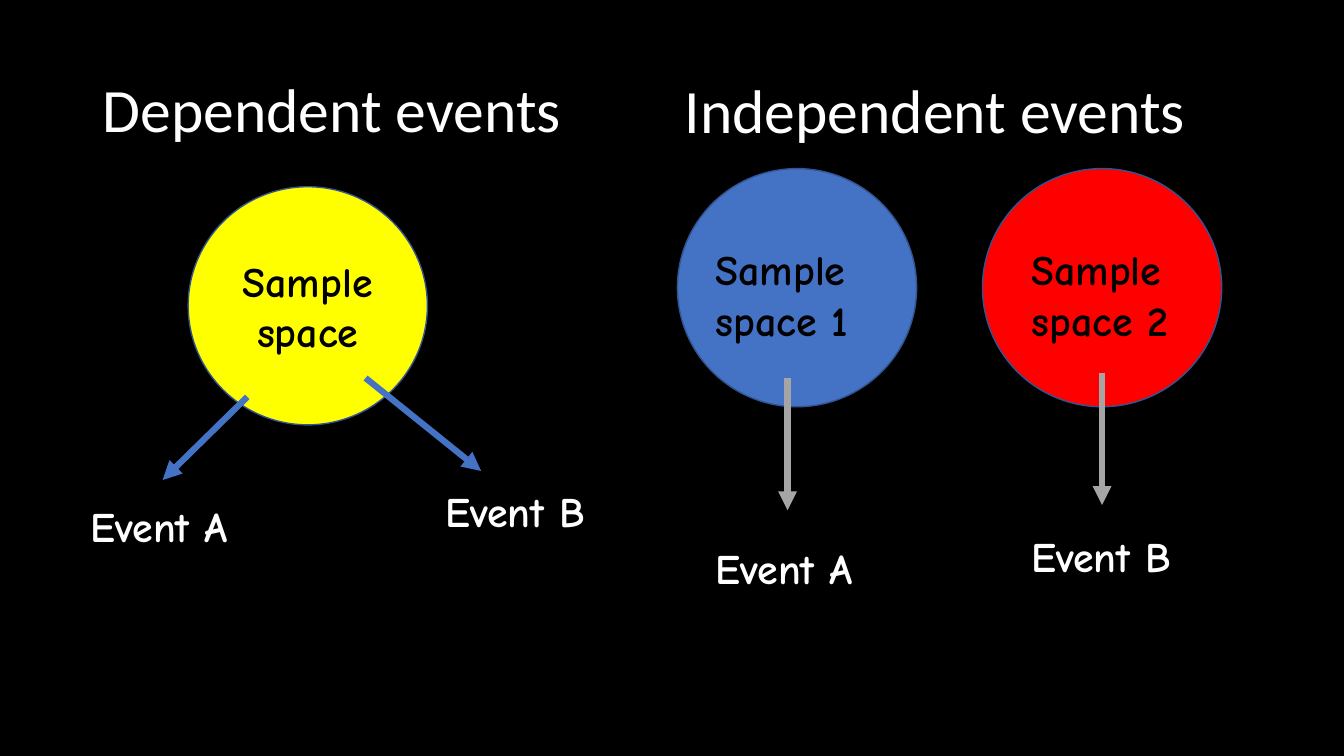
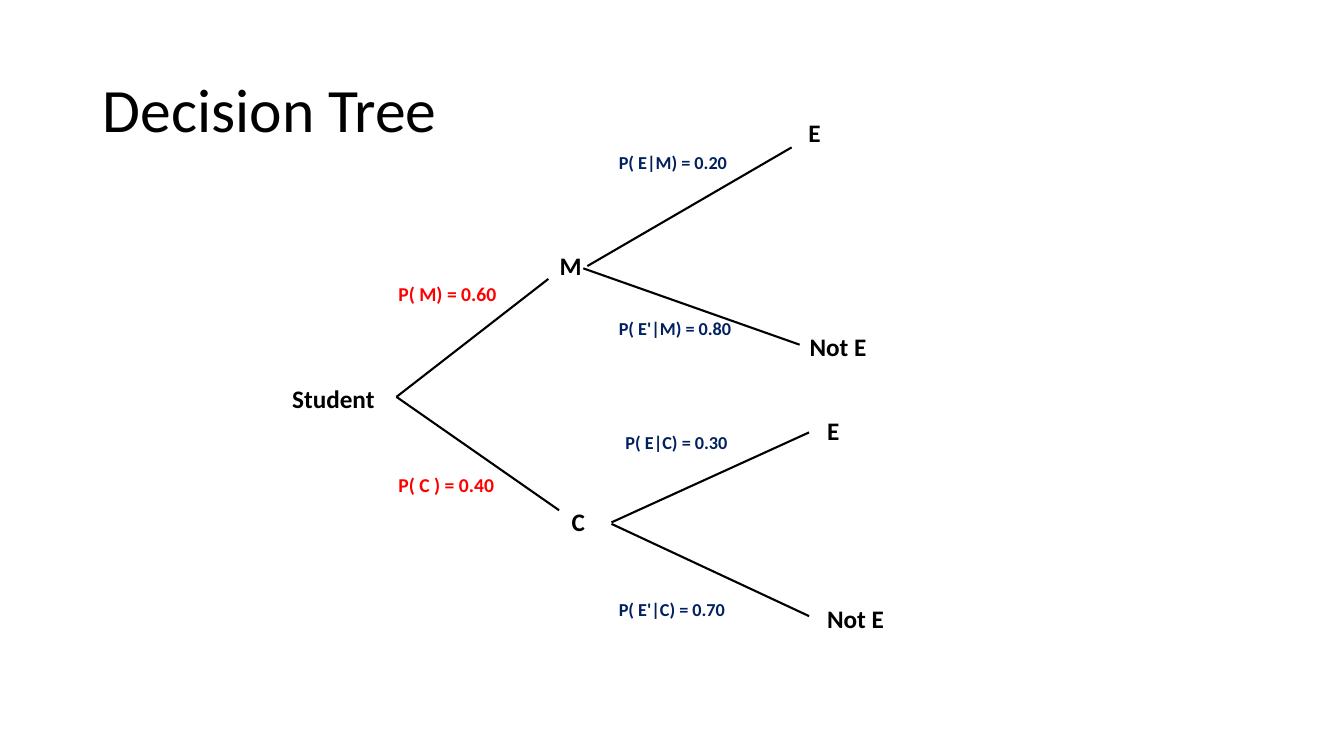
from dataclasses import dataclass
from typing import NamedTuple

from lxml.etree import SubElement
from pptx import Presentation
from pptx.dml.color import RGBColor as Rgb
from pptx.enum.shapes import MSO_CONNECTOR as Link, MSO_SHAPE as Shape
from pptx.enum.text import MSO_ANCHOR as Anchor, MSO_AUTO_SIZE as Fit, PP_ALIGN as Align
from pptx.oxml.ns import qn
from pptx.presentation import Presentation as Deck
from pptx.slide import Slide
from pptx.text.text import TextFrame
from pptx.util import Inches, Pt

WIDE, HIGH = Inches(13.33), Inches(7.5)


class Face(NamedTuple):
    font: str
    size: float
    bold: bool = False


@dataclass(frozen=True)
class Theme:
    black: str = "000000"
    white: str = "FFFFFF"
    red: str = "FF0000"
    blue: str = "4472C4"
    yellow: str = "FFFF00"
    grey: str = "A5A5A5"
    navy: str = "002060"
    rim: str = "325491"
    title: Face = Face("Calibri", 44)
    event: Face = Face("Comic Neue", 30, True)
    node: Face = Face("Calibri", 18, True)
    odds: Face = Face("Calibri", 14, True)
    given: Face = Face("Calibri", 13, True)


THEME = Theme()


class Spot(NamedTuple):
    """A point, in percent of the slide's width and height."""
    x: float
    y: float

    def emu(self) -> tuple[int, int]:
        return round(WIDE * self.x / 100), round(HIGH * self.y / 100)


class Area(NamedTuple):
    """A box, in percent of the slide's width and height."""
    x: float
    y: float
    w: float
    h: float

    def emu(self) -> tuple[int, int, int, int]:
        return Spot(self.x, self.y).emu() + Spot(self.w, self.h).emu()


class Label(NamedTuple):
    text: str
    at: Spot


class Arrow(NamedTuple):
    start: Spot
    end: Spot
    color: str


class Branch(NamedTuple):
    start: Spot
    end: Spot
    node: Label
    odds: Label
    face: Face
    color: str


LEFT_HEAD = Area(6.9, 5.3, 37.7, 19.3)
RIGHT_HEAD = Area(50.2, 5.3, 41.5, 19.3)
FULL_HEAD = Area(6.9, 5.3, 86.3, 19.3)

CIRCLES = [
    (Spot(14, 24.7), THEME.yellow, "Sample space"),
    (Spot(73.1, 22.3), THEME.red, ""),
    (Spot(50.4, 22.3), THEME.blue, ""),
]
ARROWS = [
    Arrow(Spot(18.4, 52.5), Spot(12.1, 63.5), THEME.blue),
    Arrow(Spot(27.2, 50), Spot(35.8, 62.3), THEME.blue),
    Arrow(Spot(58.6, 50), Spot(58.6, 67.5), THEME.grey),
    Arrow(Spot(82, 49.3), Spot(82, 66.8), THEME.grey),
]
EVENTS = [
    Label("Event A", Spot(6, 65.5)),
    Label("Event B", Spot(32.4, 63.5)),
    Label("Event A", Spot(52.5, 71.1)),
    Label("Event B", Spot(76, 69.5)),
]
SPACES = [
    Label("Sample space 1", Spot(52.5, 31.6)),
    Label("Sample space 2", Spot(76, 31.6)),
]

ROOT = Label("Student", Spot(21, 50))
FORK = Spot(29.5, 52.5)
FIRST = (THEME.odds, THEME.red)
NEXT = (THEME.given, THEME.navy)
BRANCHES = [
    Branch(FORK, Spot(40.8, 36.9), Label("M", Spot(40.9, 32.4)),
           Label("P( M) = 0.60", Spot(28.9, 36.7)), *FIRST),
    Branch(FORK, Spot(41.6, 67.5), Label("C", Spot(41.8, 66.3)),
           Label("P( C ) = 0.40", Spot(28.9, 61.9)), *FIRST),
    Branch(Spot(43.7, 35.2), Spot(58.9, 19.5), Label("E", Spot(59.4, 14.9)),
           Label("P( E|M) = 0.20", Spot(45.3, 19.3)), *NEXT),
    Branch(Spot(43.4, 35.5), Spot(59.5, 45.6), Label("Not E", Spot(59.5, 43.2)),
           Label("P( E'|M) = 0.80", Spot(45.3, 41.3)), *NEXT),
    Branch(Spot(45.5, 69.1), Spot(60.2, 57.2), Label("E", Spot(60.8, 54.3)),
           Label("P( E|C) = 0.30", Spot(45.8, 56.4)), *NEXT),
    Branch(Spot(45.5, 69.3), Spot(60.2, 81.5), Label("Not E", Spot(60.8, 79.2)),
           Label("P( E'|C) = 0.70", Spot(45.3, 78.5)), *NEXT),
]


def write(frame: TextFrame, text: str, face: Face, color: str,
          align: Align = Align.LEFT) -> None:
    frame.text = text
    frame.word_wrap = True
    para = frame.paragraphs[0]
    para.alignment = align
    font = para.font
    font.name, font.size, font.bold = face.font, Pt(face.size), face.bold
    font.color.rgb = Rgb.from_string(color)


def write_head(frame: TextFrame, text: str, color: str) -> None:
    write(frame, text, THEME.title, color)
    frame.auto_size = Fit.NONE
    frame.vertical_anchor = Anchor.MIDDLE
    frame.paragraphs[0].line_spacing = 0.9


def add_label(slide: Slide, label: Label, size: Spot, face: Face, color: str) -> None:
    box = slide.shapes.add_textbox(*Area(*label.at, *size).emu())
    write(box.text_frame, label.text, face, color)
    box.text_frame.auto_size = Fit.SHAPE_TO_FIT_TEXT


def add_circle(slide: Slide, at: Spot, color: str, text: str) -> None:
    disc = slide.shapes.add_shape(Shape.OVAL, *Area(*at, 17.8, 31.5).emu())
    disc.shadow.inherit = False
    disc.fill.solid()
    disc.fill.fore_color.rgb = Rgb.from_string(color)
    disc.line.color.rgb = Rgb.from_string(THEME.rim)
    disc.line.width = Pt(1)
    if text:
        write(disc.text_frame, text, THEME.event, THEME.black, Align.CENTER)
        disc.text_frame.vertical_anchor = Anchor.MIDDLE


def add_line(slide: Slide, start: Spot, end: Spot, color: str,
             width: float, arrow: bool = False) -> None:
    line = slide.shapes.add_connector(Link.STRAIGHT, *start.emu(), *end.emu())
    line.line.color.rgb = Rgb.from_string(color)
    line.line.width = Pt(width)
    if arrow:
        SubElement(line.line._get_or_add_ln(), qn("a:tailEnd"), type="triangle")
    SubElement(line._element.spPr, qn("a:effectLst"))


def add_slide(deck: Deck, title: str, area: Area, ink: str, back: str) -> Slide:
    slide = deck.slides.add_slide(deck.slide_layouts[5])
    fill = slide.background.fill
    fill.solid()
    fill.fore_color.rgb = Rgb.from_string(back)
    head = slide.shapes.title
    head.left, head.top, head.width, head.height = area.emu()
    write_head(head.text_frame, title, ink)
    return slide


def add_events(deck: Deck) -> None:
    slide = add_slide(deck, "Dependent events", LEFT_HEAD, THEME.white, THEME.black)
    head = slide.shapes.add_textbox(*RIGHT_HEAD.emu())
    write_head(head.text_frame, "Independent events", THEME.white)
    for circle in CIRCLES:
        add_circle(slide, *circle)
    for arrow in ARROWS:
        add_line(slide, *arrow, width=4.5, arrow=True)
    for label in EVENTS:
        add_label(slide, label, Spot(13.5, 8.1), THEME.event, THEME.white)
    for label in SPACES:
        add_label(slide, label, Spot(13.5, 14.8), THEME.event, THEME.black)


def add_tree(deck: Deck) -> None:
    slide = add_slide(deck, "Decision Tree", FULL_HEAD, THEME.black, THEME.white)
    for label in [ROOT, *(branch.node for branch in BRANCHES)]:
        add_label(slide, label, Spot(8, 5.3), THEME.node, THEME.black)
    for branch in BRANCHES:
        add_line(slide, branch.start, branch.end, THEME.black, 1.5)
        add_label(slide, branch.odds, Spot(10.5, 4.4), branch.face, branch.color)


def main() -> None:
    deck = Presentation()
    deck.slide_width, deck.slide_height = WIDE, HIGH
    add_events(deck)
    add_tree(deck)
    deck.save("out.pptx")


if __name__ == "__main__":
    main()
